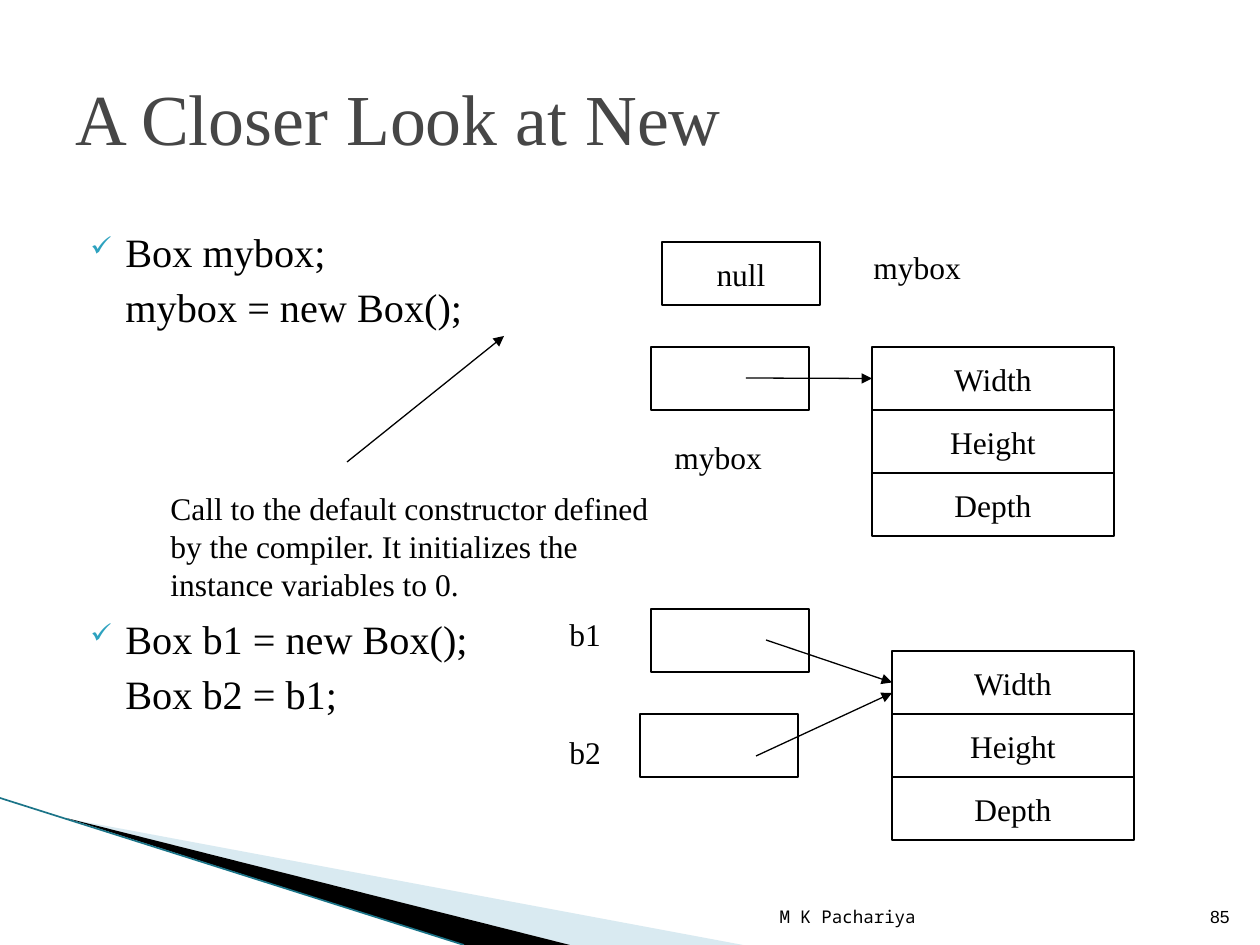
import pptx
import pptx.dml.color
import pptx.enum.shapes
import pptx.enum.text
import pptx.oxml
import pptx.oxml.ns
import pptx.util
from lxml import etree

SCALE = 914400 / 126  # EMU per px
SERIF = "Times New Roman"
ALIGN = pptx.enum.text.PP_ALIGN
ANCHOR = pptx.enum.text.MSO_ANCHOR
ROW = 63


def emu(px):
    return pptx.util.Emu(round(px * SCALE))


def color(hex_string):
    return pptx.dml.color.RGBColor.from_string(hex_string)


def add_xml(parent, tag, **attributes):
    child = etree.SubElement(parent, pptx.oxml.ns.qn(tag))
    for name, value in attributes.items():
        child.set(name, str(value))
    return child


def write(para, text, size=18, font=SERIF, ink="000000", align=ALIGN.LEFT, before=0):
    para.alignment = align
    para.space_before = pptx.util.Pt(before)
    span = para.add_run()
    span.text = text
    span.font.size = pptx.util.Pt(size)
    span.font.name = font
    span.font.color.rgb = color(ink)


class Painter:
    line_color = "000000"
    line_width = 0.75
    box_fill = "FFFFFF"
    bullet_color = "2DA2BF"

    def __init__(self, page):
        self.page = page

    def text(self, left, top, width, height, text="", anchor=ANCHOR.TOP, **style):
        box = self.page.shapes.add_textbox(emu(left), emu(top), emu(width), emu(height))
        box.text_frame.word_wrap = True
        box.text_frame.vertical_anchor = anchor
        if text:
            write(box.text_frame.paragraphs[0], text, **style)
        return box

    def code_list(self, left, top, width, height, lines):
        frame = self.text(left, top, width, height).text_frame
        for number, (text, bulleted, before) in enumerate(lines):
            para = frame.add_paragraph() if number else frame.paragraphs[0]
            write(para, text, size=23, before=before)
            props = para._p.get_or_add_pPr()
            props.set("marL", str(emu(50)))
            if bulleted:
                props.set("indent", str(-emu(35)))
                tint = add_xml(props, "a:buClr")
                add_xml(tint, "a:srgbClr", val=self.bullet_color)
                add_xml(props, "a:buSzPct", val=68000)
                add_xml(props, "a:buChar", char="✓")

    def rectangle(self, left, top, width, text=""):
        box = self.page.shapes.add_shape(
            pptx.enum.shapes.MSO_SHAPE.RECTANGLE, emu(left), emu(top), emu(width), emu(ROW))
        box.shadow.inherit = False
        box.fill.solid()
        box.fill.fore_color.rgb = color(self.box_fill)
        box.line.color.rgb = color(self.line_color)
        box.line.width = pptx.util.Pt(self.line_width)
        if text:
            box.text_frame.word_wrap = False
            box.text_frame.vertical_anchor = ANCHOR.MIDDLE
            write(box.text_frame.paragraphs[0], text, align=ALIGN.CENTER)
        return box

    def fields(self, left, top):
        """Stack the instance variables of one object; return the top cell."""
        cells = [self.rectangle(left, top + ROW * row, 242, name)
                 for row, name in enumerate(("Width", "Height", "Depth"))]
        return cells[0]

    def line(self, start, end, ink=line_color, width=line_width, arrow=True, target=None):
        line = self.page.shapes.add_connector(
            pptx.enum.shapes.MSO_CONNECTOR.STRAIGHT, *map(emu, start + end))
        if target is not None:
            line.end_connect(target, 1)
        line.line.color.rgb = color(ink)
        line.line.width = pptx.util.Pt(width)
        if arrow:
            add_xml(line.line._get_or_add_ln(), "a:tailEnd", type="triangle")
        add_xml(line._element.spPr, "a:effectLst")

    def wedge(self, points, fill, opacity=100):
        builder = self.page.shapes.build_freeform(*map(emu, points[0]), scale=1.0)
        builder.add_line_segments([tuple(map(emu, point)) for point in points[1:]], close=True)
        shape = builder.convert_to_shape()
        shape.shadow.inherit = False
        shape.fill.solid()
        shape.fill.fore_color.rgb = color(fill)
        shape.line.fill.background()
        if opacity < 100:
            tint = shape._element.spPr.find(".//" + pptx.oxml.ns.qn("a:srgbClr"))
            add_xml(tint, "a:alpha", val=opacity * 1000)


def main():
    deck = pptx.Presentation()
    deck.slide_width, deck.slide_height = emu(1260), emu(945)
    painter = Painter(deck.slides.add_slide(deck.slide_layouts[6]))

    # Corner decoration
    painter.wedge([(69, 819), (743, 945), (570, 945)], "A0CBDC", opacity=40)
    painter.wedge([(66, 818), (570, 945), (464, 945)], "000000")
    painter.line((0, 798), (464, 945), ink="1B7488", width=0.95, arrow=False)

    # Footer
    painter.text(604, 883, 324, 50, "M K Pachariya", ANCHOR.BOTTOM,
                 size=10, font="Noto Sans Mono", align=ALIGN.RIGHT)
    painter.text(1192, 883, 50, 50, "85", ANCHOR.BOTTOM,
                 size=10, font="Arial", align=ALIGN.RIGHT)

    # Title and code
    painter.text(63, 38, 1134, 158, "A Closer Look at New", ANCHOR.MIDDLE,
                 size=41, ink="464646")
    painter.code_list(63, 221, 1155, 683, [
        ("Box mybox;", True, 4),
        ("mybox = new Box();", False, 4),
        ("Box b1 = new Box();", True, 162),
        ("Box b2 = b1;", False, 4),
    ])

    # Reference before and after new
    painter.rectangle(662, 242, 158, "null")
    painter.text(861, 242, 147, 50, "mybox")
    painter.rectangle(651, 347, 158)
    painter.text(662, 432, 147, 50, "mybox")
    width_cell = painter.fields(872, 347)
    painter.line((746, 378), (872, 378), target=width_cell)

    # Constructor note
    painter.line((347, 462), (504, 336))
    painter.text(158, 483, 536, 126,
                 "Call to the default constructor defined by the compiler. "
                 "It initializes the instance variables to 0.")

    # Two references to one object
    shared_cell = painter.fields(892, 651)
    painter.rectangle(651, 609, 158)
    painter.rectangle(640, 714, 158)
    for name, top in (("b1", 609), ("b2", 727)):
        painter.text(557, top, 73, 50, name)
    painter.line((756, 756), (892, 693))
    painter.line((766, 640), (892, 682), target=shared_cell)

    deck.save("out.pptx")


if __name__ == "__main__":
    main()
